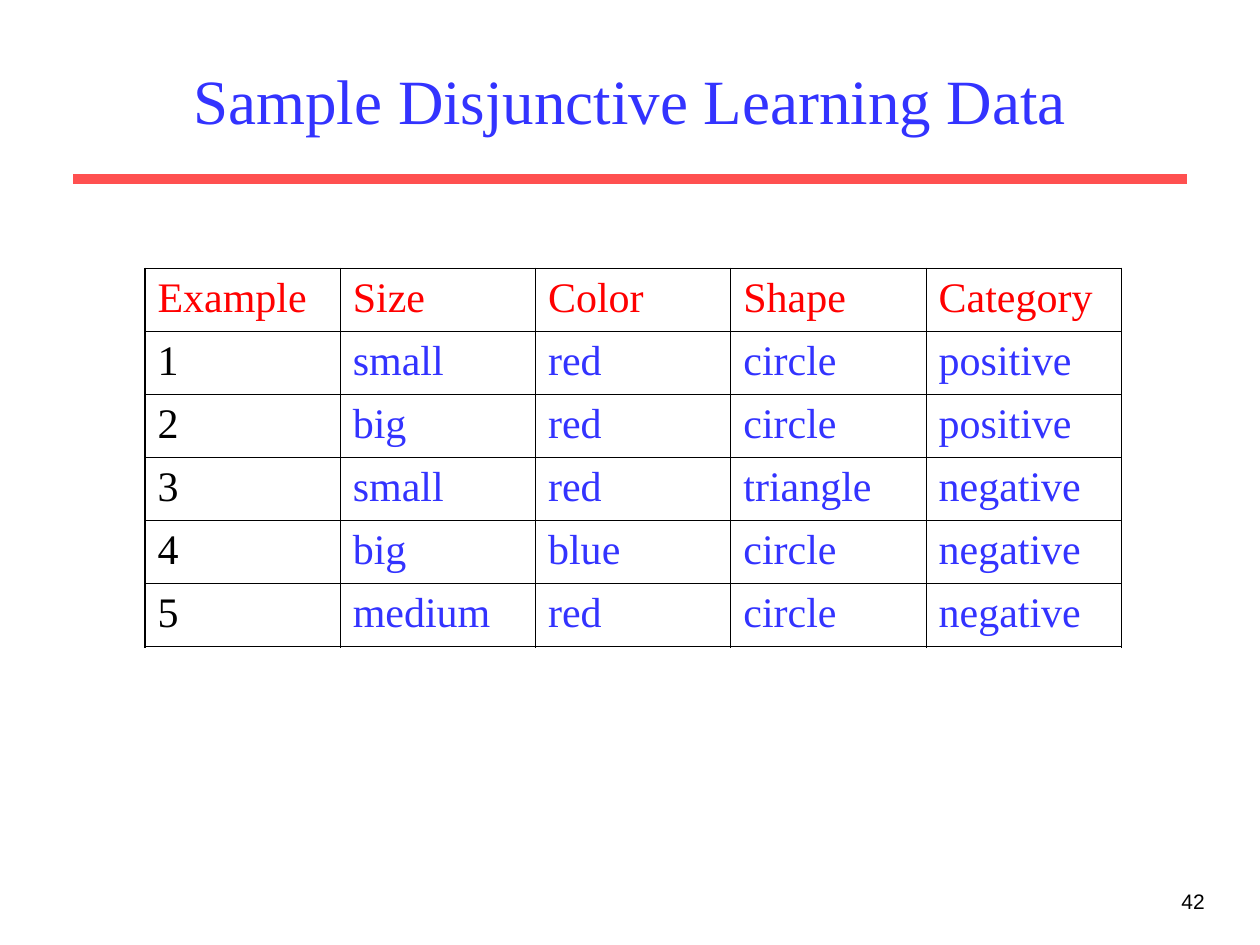
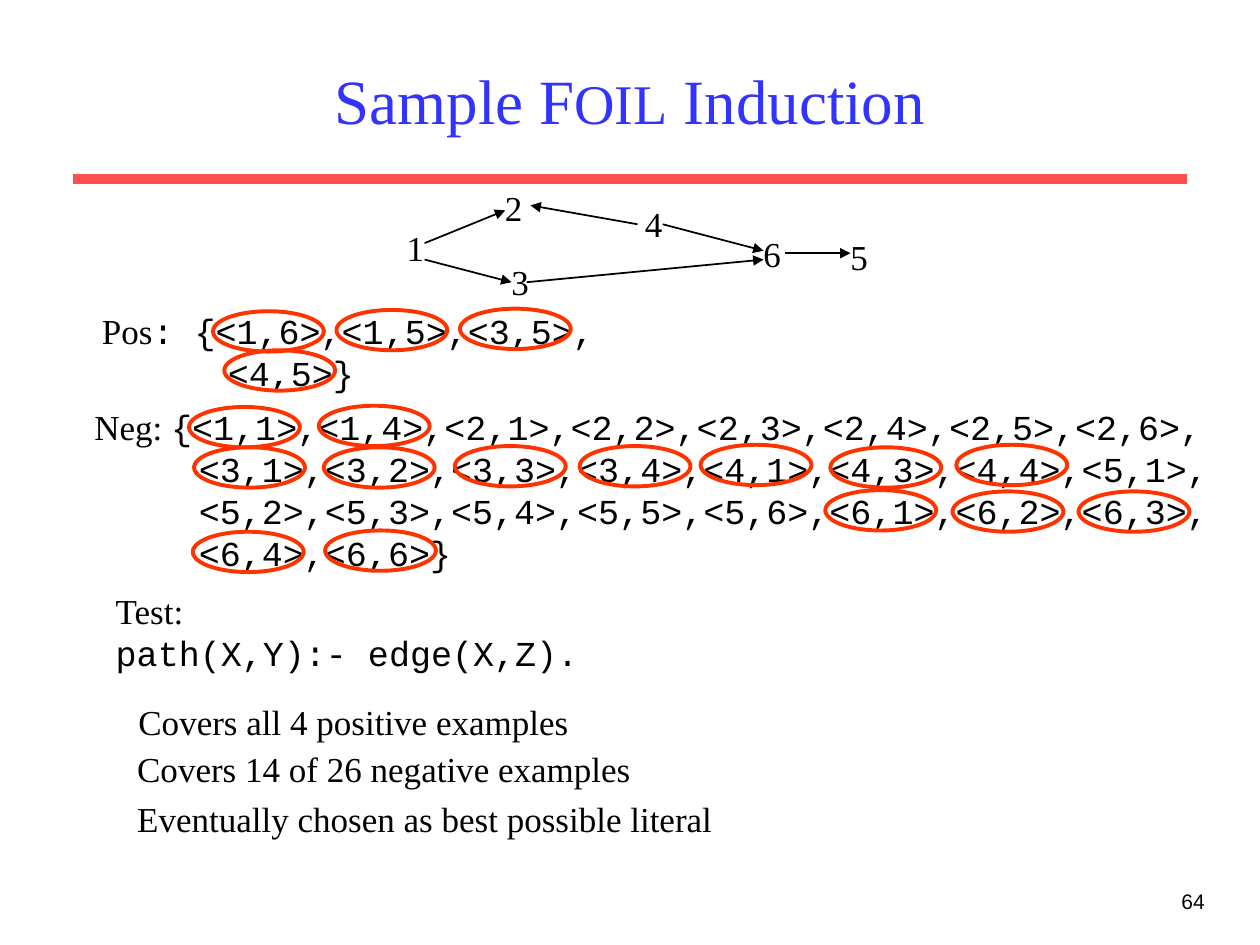
from lxml import etree
from pptx import Presentation
from pptx.dml.color import RGBColor
from pptx.enum import shapes as kinds, text as txt
from pptx.oxml.ns import qn
from pptx.util import Inches, Pt

# Colours and text formats
BLACK = RGBColor(0x00, 0x00, 0x00)
BLUE = RGBColor(0x33, 0x33, 0xFF)
RED = RGBColor(0xFF, 0x00, 0x00)
RULE_RED = RGBColor(0xFF, 0x50, 0x50)
RING_RED = RGBColor(0xFF, 0x33, 0x00)

SERIF = "Times New Roman"
TITLE = {"name": SERIF, "size": Pt(36), "color": BLUE}
TITLE_SMALL = TITLE | {"size": Pt(32)}
HEADING = {"name": SERIF, "size": Pt(24), "color": RED}
KEY = HEADING | {"color": BLACK}
VALUE = HEADING | {"color": BLUE}
BODY = {"name": SERIF, "size": Pt(20), "color": BLACK}
CODE = BODY | {"name": "Courier New"}
NUMBER = {"name": "Arial", "size": Pt(12), "color": BLACK}

# Slide 1: training examples
DATA_TITLE = [("Sample Disjunctive Learning Data", TITLE)]
EXAMPLES = [
    ("Example", "Size", "Color", "Shape", "Category"),
    ("1", "small", "red", "circle", "positive"),
    ("2", "big", "red", "circle", "positive"),
    ("3", "small", "red", "triangle", "negative"),
    ("4", "big", "blue", "circle", "negative"),
    ("5", "medium", "red", "circle", "negative"),
]
TABLE_LEFT, TABLE_TOP, COLUMN_WIDTH, ROW_HEIGHT = 1.15, 2.13, 1.55, 0.5
OUTER, INNER = Pt(1.08), Pt(0.45)

# Slide 2: graph, example sets and the tested clause
FOIL_TITLE = [("Sample F", TITLE), ("OIL", TITLE_SMALL), (" Induction", TITLE)]
NODES = {"1": (3.13, 1.75), "2": (3.91, 1.43), "3": (3.96, 2.02),
         "4": (5.02, 1.56), "6": (5.96, 1.8), "5": (6.65, 1.82)}
EDGES = [
    ((3.37, 1.93), (4.01, 1.67)),
    ((3.37, 2.06), (4.06, 2.24)),
    ((5.06, 1.78), (4.21, 1.63)),
    ((5.26, 1.78), (6.06, 1.99)),
    ((4.18, 2.24), (6.06, 2.06)),
    ((6.23, 2.01), (6.75, 2.01)),
]
# Each block: place and size, indent of the lines after the first, lines of runs
BLOCKS = [
    ((0.71, 2.41, 4.15, 0.77), 1.0, [
        [("Pos", BODY), (": {<1,6>,<1,5>,<3,5>,", CODE)],
        [("<4,5>}", CODE)]]),
    ((0.82, 4.63, 3.95, 0.77), 0, [
        [("Test:", BODY)],
        [("path(X,Y):- edge(X,Z).", CODE)]]),
    ((0.65, 3.17, 9.1, 1.44), 0.83, [
        [("Neg: ", BODY),
         ("{<1,1>,<1,4>,<2,1>,<2,2>,<2,3>,<2,4>,<2,5>,<2,6>,", CODE)],
        [("<3,1>,<3,2>,<3,3>,<3,4>,<4,1>,<4,3>,<4,4>,<5,1>,", CODE)],
        [("<5,2>,<5,3>,<5,4>,<5,5>,<5,6>,<6,1>,<6,2>,<6,3>,", CODE)],
        [("<6,4>,<6,6>}", CODE)]]),
    ((1.0, 5.51, 3.7, 0.44), 0, [[("Covers all 4 positive examples", BODY)]]),
    ((0.99, 5.88, 4.2, 0.44), 0, [[("Covers 14 of 26 negative examples", BODY)]]),
    ((0.99, 6.28, 4.85, 0.44), 0,
     [[("Eventually chosen as best possible literal", BODY)]]),
]
# Left and top of the ring around each covered pair
RING_SIZE = (0.88, 0.32)
RINGS = [
    (1.69, 2.47), (2.67, 2.46), (3.65, 2.45), (1.78, 2.78),
    (1.5, 3.23), (2.53, 3.22),
    (1.54, 3.55), (2.57, 3.55), (3.61, 3.54), (4.6, 3.54),
    (5.56, 3.53), (6.59, 3.55), (7.59, 3.53),
    (6.55, 3.89), (7.56, 3.9), (8.56, 3.9),
    (1.53, 4.22), (2.58, 4.21),
]


def inches(values):
    return [Inches(value) for value in values]


def write(paragraph, runs):
    for words, form in runs:
        run = paragraph.add_run()
        run.text = words
        for key, value in form.items():
            if key == "color":
                run.font.color.rgb = value
            else:
                setattr(run.font, key, value)


def add_line(shapes, start, end, color, width, arrow=False):
    line = shapes.add_connector(
        kinds.MSO_CONNECTOR.STRAIGHT, *inches(start + end))
    line.line.color.rgb = color
    line.line.width = width
    if arrow:
        etree.SubElement(line.line._ln, qn("a:tailEnd"), type="triangle")
    etree.SubElement(line._element.spPr, qn("a:effectLst"))


def add_text(shapes, place, lines, indent=0, wrap=True, align=None):
    box = shapes.add_textbox(*inches(place))
    frame = box.text_frame
    frame.word_wrap = wrap
    for index, runs in enumerate(lines):
        paragraph = frame.add_paragraph() if index else frame.paragraphs[0]
        if index and indent:
            paragraph._p.get_or_add_pPr().set("marL", str(Inches(indent)))
        paragraph.alignment = align
        write(paragraph, runs)


def add_slide(deck, heading, number):
    """Slide with the shared title, red rule and page number."""
    slide = deck.slides.add_slide(deck.slide_layouts[5])
    title = slide.shapes.title
    place = dict(zip(("left", "top", "width", "height"),
                     inches((0.75, 0.25, 8.5, 1.08))))
    for key, value in place.items():
        setattr(title, key, value)
    title.text_frame.auto_size = txt.MSO_AUTO_SIZE.NONE
    title.text_frame.vertical_anchor = txt.MSO_ANCHOR.MIDDLE
    paragraph = title.text_frame.paragraphs[0]
    paragraph.alignment = txt.PP_ALIGN.CENTER
    write(paragraph, heading)
    add_line(slide.shapes, (0.58, 1.42), (9.42, 1.42), RULE_RED, Pt(6))
    add_text(slide.shapes, (7.58, 7, 2.08, 0.5), [[(number, NUMBER)]],
             align=txt.PP_ALIGN.RIGHT)
    return slide


def set_borders(cell, widths):
    """Draw black borders; they must stand before the fill in the cell."""
    properties = cell._tc.get_or_add_tcPr()
    for index, (side, width) in enumerate(widths.items()):
        border = etree.Element(qn(f"a:ln{side}"), w=str(width))
        fill = etree.SubElement(border, qn("a:solidFill"))
        etree.SubElement(fill, qn("a:srgbClr"), val=str(BLACK))
        properties.insert(index, border)


def add_examples(slide):
    rows, columns = len(EXAMPLES), len(EXAMPLES[0])
    table = slide.shapes.add_table(rows, columns, *inches(
        (TABLE_LEFT, TABLE_TOP, columns * COLUMN_WIDTH, rows * ROW_HEIGHT))).table
    table.first_row = table.horz_banding = False
    for r, example in enumerate(EXAMPLES):
        for c, words in enumerate(example):
            cell = table.cell(r, c)
            cell.fill.background()
            form = HEADING if r == 0 else KEY if c == 0 else VALUE
            write(cell.text_frame.paragraphs[0], [(words, form)])
            edges = {"L": c == 0, "R": c == columns - 1,
                     "T": r == 0, "B": r == rows - 1}
            set_borders(cell, {side: OUTER if outer else INNER
                               for side, outer in edges.items()})


def add_graph(slide):
    graph = slide.shapes.add_group_shape().shapes
    for node, spot in NODES.items():
        add_text(graph, spot + (0.34, 0.44), [[(node, BODY)]], wrap=False)
    for start, end in EDGES:
        add_line(graph, start, end, BLACK, Pt(1), arrow=True)


def add_rings(slide):
    for spot in RINGS:
        ring = slide.shapes.add_shape(
            kinds.MSO_SHAPE.OVAL, *inches(spot + RING_SIZE))
        ring.shadow.inherit = False
        ring.fill.background()
        ring.line.color.rgb = RING_RED
        ring.line.width = Pt(2.25)


def main():
    deck = Presentation()
    deck.slide_width, deck.slide_height = inches((10, 7.5))

    add_examples(add_slide(deck, DATA_TITLE, "42"))

    induction = add_slide(deck, FOIL_TITLE, "64")
    add_graph(induction)
    for place, indent, lines in BLOCKS:
        add_text(induction.shapes, place, lines, indent)
    add_rings(induction)

    deck.save("out.pptx")


if __name__ == "__main__":
    main()
